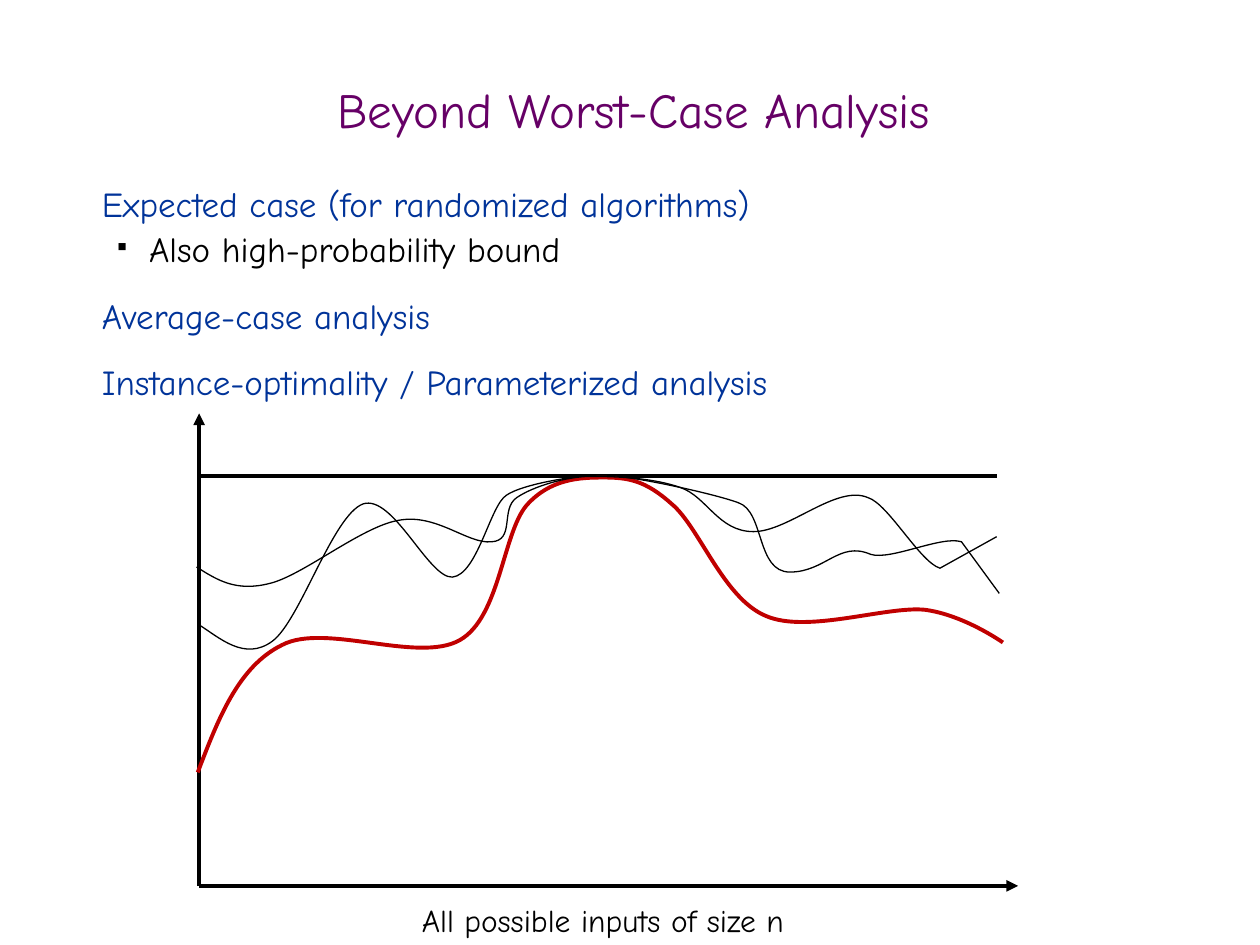
from lxml import etree
from pptx import Presentation
from pptx.dml.color import RGBColor
from pptx.enum import shapes, text
from pptx.oxml import ns
from pptx.util import Pt

PURPLE = RGBColor(0x66, 0x00, 0x66)
BLUE = RGBColor(0x00, 0x33, 0x99)
RED = RGBColor(0xC0, 0x00, 0x00)
BLACK = RGBColor(0x00, 0x00, 0x00)

THICK, THIN = 2.25, 0.75
AXIS_LEFT, AXIS_RIGHT, WORST_RIGHT = 113.8, 581.8, 569.5
AXIS_TOP, AXIS_BOTTOM, WORST_COST = 236.2, 506.2, 272.2

# Each curve: a start point, then Bézier triples; a leftover point is a straight end.
PARAMETERIZED_BOUND = [
    (113, 441.4),
    (124.6, 411.1), (136.1, 380.9), (161.3, 368.6),
    (185.8, 355.7), (239, 379.4), (262.8, 365.8),
    (285.8, 352.8), (287.3, 304.6), (301, 288.7),
    (314.6, 273.6), (331.2, 272.9), (344.9, 272.9),
    (358.6, 272.9), (368.6, 274.3), (383.8, 288),
    (399.6, 301), (413.3, 342), (437.8, 352.1),
    (461.5, 362.2), (506.2, 346.3), (528.5, 348.5),
    (550.8, 351.4), (573.1, 367.2), (573.1, 367.2),
]
FIRST_ALGORITHM = [
    (112.3, 324),
    (123.8, 331.2), (134.6, 338.4), (154.1, 333.4),
    (172.8, 329), (206.6, 301), (227.5, 297.4),
    (249.1, 293), (267.1, 311), (280.8, 309.6),
    (294.5, 308.9), (285.8, 290.9), (295.2, 284.4),
    (304.6, 277.9), (324, 272.2), (337.7, 272.2),
    (350.6, 272.2), (373, 272.9), (388.8, 278.6),
    (403.9, 283.7), (410.4, 303.8), (430.6, 303.8),
    (450.7, 303.8), (478.1, 276.5), (496.1, 284.4),
    (507.6, 288), (525.6, 321.1), (537.1, 324.7),
    (569.5, 306.7),
]
SECOND_ALGORITHM = [
    (113.8, 357.1),
    (125.3, 364.3), (139.7, 378), (155.5, 366.5),
    (171.4, 355), (190.1, 294.5), (207.4, 288),
    (224.6, 282.2), (244.8, 330.5), (258.5, 329.8),
    (272.9, 328.3), (280.1, 288.7), (289.4, 283),
    (298.8, 276.5), (330.5, 271.4), (344.2, 271.4),
    (357.8, 271.4), (406.1, 281.5), (421.9, 287.3),
    (437, 292.3), (432, 326.9), (451.4, 326.9),
    (471.6, 326.9), (479.5, 308.9), (497.5, 316.8),
    (509, 320.4), (537.8, 306), (549.4, 309.6),
    (571, 339.1),
]


class SlideBuilder:
    font = "Comic Neue"

    def __init__(self, slide):
        self.slide = slide

    def text_frame(self, left, top, width, height, anchor=text.MSO_ANCHOR.TOP):
        box = self.slide.shapes.add_textbox(Pt(left), Pt(top), Pt(width), Pt(height))
        frame = box.text_frame
        frame.word_wrap = True
        frame.vertical_anchor = anchor
        return frame

    def add_text(self, paragraph, words, size, color, spacing=None, before=0):
        run = paragraph.add_run()
        run.text = words
        run.font.name = self.font
        run.font.size = Pt(size)
        run.font.color.rgb = color
        paragraph.space_before = Pt(before)
        if spacing:
            paragraph.line_spacing = spacing

    def bullet(self, paragraph):
        """Give a finished paragraph a small black square and a hanging indent."""
        paragraph.level = 1
        props = paragraph._p.get_or_add_pPr()
        props.set("marL", str(Pt(27)))
        props.set("indent", str(Pt(-18)))
        color = etree.SubElement(props, ns.qn("a:buClr"))
        etree.SubElement(color, ns.qn("a:srgbClr"), val=str(BLACK))
        etree.SubElement(props, ns.qn("a:buSzPct"), val="35000")
        etree.SubElement(props, ns.qn("a:buChar"), char="■")

    def line(self, start, end, arrow=False):
        connector = self.slide.shapes.add_connector(
            shapes.MSO_CONNECTOR.STRAIGHT, *map(Pt, start + end))
        connector.line.color.rgb = BLACK
        connector.line.width = Pt(THICK)
        if arrow:
            etree.SubElement(connector.line._get_or_add_ln(),
                             ns.qn("a:tailEnd"), type="triangle")
        etree.SubElement(connector._element.spPr, ns.qn("a:effectLst"))

    def curve(self, points, color, width):
        """Draw an open path whose points after the first are Bézier triples."""
        start, *rest = [(Pt(x), Pt(y)) for x, y in points]
        builder = self.slide.shapes.build_freeform(*start)
        builder.add_line_segments(rest, close=False)
        shape = builder.convert_to_shape()
        segments = list(shape._element.iter(ns.qn("a:lnTo")))
        for i in range(0, len(segments) - 2, 3):
            bezier = etree.Element(ns.qn("a:cubicBezTo"))
            segments[i].addprevious(bezier)
            for segment in segments[i:i + 3]:
                bezier.append(segment[0])
                segment.getparent().remove(segment)
        shape.shadow.inherit = False
        shape.fill.background()
        shape.line.color.rgb = color
        shape.line.width = Pt(width)


def main():
    deck = Presentation()
    deck.slide_width, deck.slide_height = Pt(720), Pt(540)
    builder = SlideBuilder(deck.slides.add_slide(deck.slide_layouts[6]))

    title = builder.text_frame(2.2, 48.2, 720, 36, text.MSO_ANCHOR.MIDDLE).paragraphs[0]
    title.alignment = text.PP_ALIGN.CENTER
    builder.add_text(title, "Beyond Worst-Case Analysis", 28, PURPLE, 0.7)

    body = builder.text_frame(51.1, 98.6, 617.8, 390.2)
    expected = body.paragraphs[0]
    builder.add_text(expected, "Expected case (for randomized algorithms)", 20, BLUE, Pt(26), 12)
    bound = body.add_paragraph()
    builder.add_text(bound, "Also high-probability bound", 20, BLACK, Pt(26))
    builder.bullet(bound)
    for topic in ("Average-case analysis", "Instance-optimality / Parameterized analysis"):
        builder.add_text(body.add_paragraph(), topic, 20, BLUE, Pt(26), 12)

    origin = (AXIS_LEFT, AXIS_BOTTOM)
    builder.line(origin, (AXIS_RIGHT, AXIS_BOTTOM), arrow=True)
    builder.line(origin, (AXIS_LEFT, AXIS_TOP), arrow=True)
    builder.line((AXIS_LEFT, WORST_COST), (WORST_RIGHT, WORST_COST))

    builder.curve(PARAMETERIZED_BOUND, RED, THICK)
    builder.curve(FIRST_ALGORITHM, BLACK, THIN)
    builder.curve(SECOND_ALGORITHM, BLACK, THIN)

    axis_label = builder.text_frame(234, 511.2, 252.7, 28.8).paragraphs[0]
    builder.add_text(axis_label, "All possible inputs of size n", 18, BLACK)

    deck.save("out.pptx")


if __name__ == "__main__":
    main()
